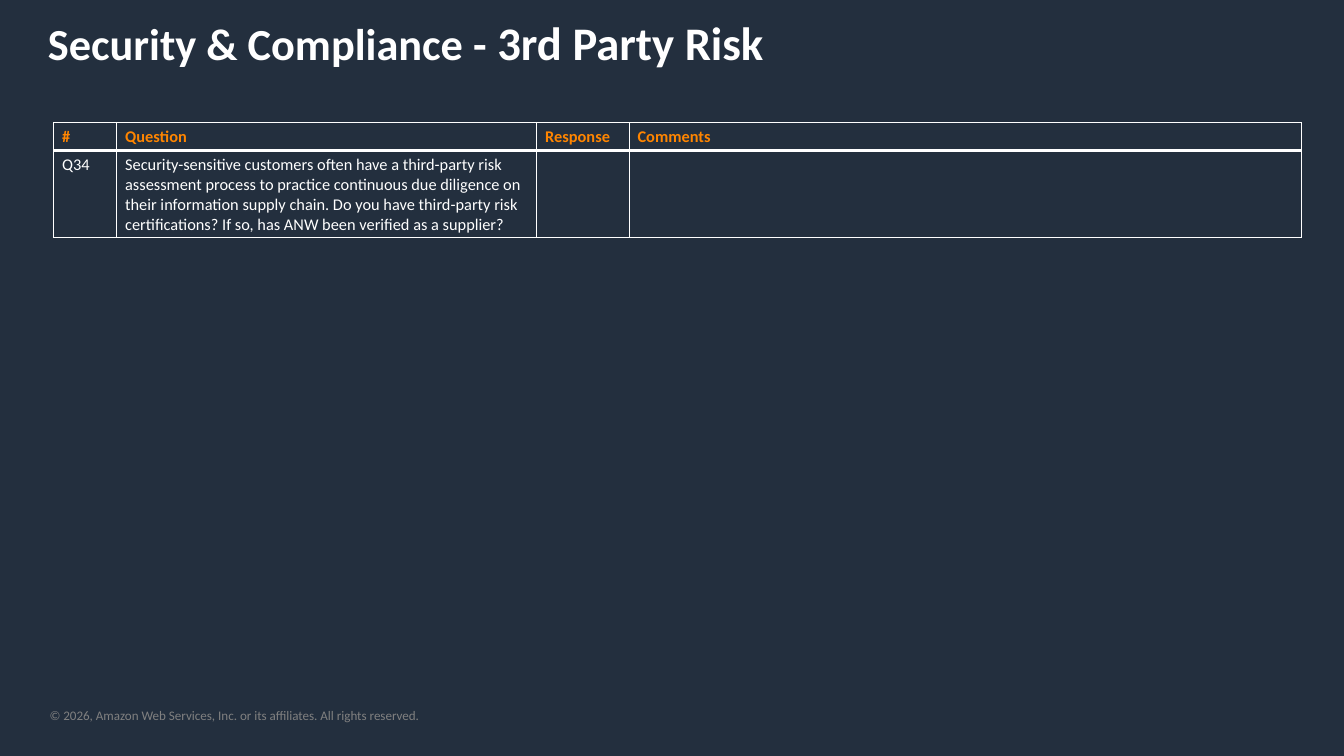
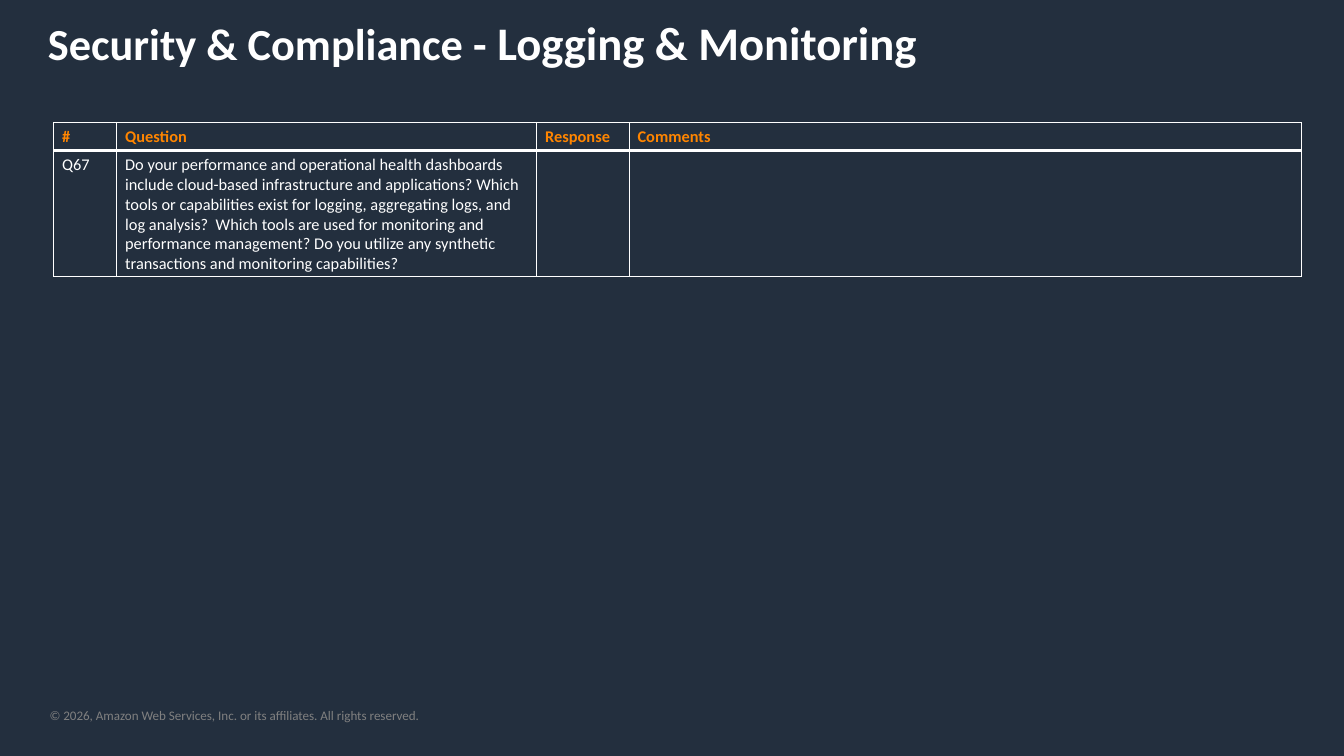
from lxml import etree
from pptx import Presentation
from pptx.dml.color import RGBColor
from pptx.enum.text import MSO_ANCHOR, MSO_AUTO_SIZE, PP_ALIGN
from pptx.oxml.ns import qn
from pptx.util import Pt

TOP = MSO_ANCHOR.TOP
NO_AUTOFIT = MSO_AUTO_SIZE.NONE
LEFT = PP_ALIGN.LEFT

# Content
TITLE_PREFIX = "Security & Compliance - "
HEADERS = ["#", "Question", "Response", "Comments"]
FOOTER = "© 2026, Amazon Web Services, Inc. or its affiliates. All rights reserved."
SLIDES = [
    ("3rd Party Risk", [
        ["Q34", "Security-sensitive customers often have a third-party risk "
                "assessment process to practice continuous due diligence on their "
                "information supply chain. Do you have third-party risk "
                "certifications? If so, has ANW been verified as a supplier?", "", ""],
    ]),
    ("Logging & Monitoring", [
        ["Q67", "Do your performance and operational health dashboards include "
                "cloud-based infrastructure and applications? Which tools or "
                "capabilities exist for logging, aggregating logs, and log analysis?  "
                "Which tools are used for monitoring and performance management? Do "
                "you utilize any synthetic transactions and monitoring capabilities?",
         "", ""],
    ]),
]

# Shared style
FONT = "Calibri"
NAVY = RGBColor(0x23, 0x2F, 0x3E)
WHITE = RGBColor(0xFF, 0xFF, 0xFF)
ORANGE = RGBColor(0xFF, 0x85, 0x00)
GRAY = RGBColor(0x80, 0x80, 0x80)
COLUMN_WIDTHS = [54, 360, 79.2, 576]
ROW_HEIGHT = 20
THIN, THICK = 1, 3


def add_text(text_frame, text, size, color=WHITE, bold=False):
    paragraph = text_frame.paragraphs[0]
    paragraph.alignment = LEFT
    run = paragraph.add_run()
    run.text = text
    run.font.name = FONT
    run.font.size = Pt(size)
    run.font.bold = bold
    run.font.color.rgb = color


def place(shape, left, top, width, height):
    shape.left, shape.top = Pt(left), Pt(top)
    shape.width, shape.height = Pt(width), Pt(height)


def set_borders(cell, top, bottom):
    properties = cell._tc.get_or_add_tcPr()
    widths = {"a:lnL": THIN, "a:lnR": THIN, "a:lnT": top, "a:lnB": bottom}
    for tag, width in widths.items():
        line = etree.SubElement(properties, qn(tag), w=str(Pt(width)))
        fill = etree.SubElement(line, qn("a:solidFill"))
        etree.SubElement(fill, qn("a:srgbClr"), val=str(WHITE))


def add_title(slide, topic):
    title = slide.shapes.title
    place(title, 33.84, 7.92, 1098.72, 55.44)
    frame = title.text_frame
    frame.auto_size = NO_AUTOFIT
    frame.vertical_anchor = TOP
    add_text(frame, TITLE_PREFIX, 38, bold=True)
    add_text(frame, topic, 40, bold=True)


def add_footer(slide):
    box = slide.shapes.add_textbox(Pt(42.48), Pt(606.24), Pt(560), Pt(13.68))
    frame = box.text_frame
    frame.word_wrap = True
    frame.margin_left = frame.margin_right = 0
    frame.margin_top = frame.margin_bottom = 0
    add_text(frame, FOOTER, 11.2, GRAY)


def add_question_table(slide, questions):
    rows = [HEADERS] + questions
    table = slide.shapes.add_table(
        len(rows), len(HEADERS), Pt(46.08), Pt(105.12),
        Pt(sum(COLUMN_WIDTHS)), Pt(ROW_HEIGHT * len(rows))).table
    table.horz_banding = False
    for column, width in zip(table.columns, COLUMN_WIDTHS):
        column.width = Pt(width)
    for row_index, row in enumerate(rows):
        is_header = row_index == 0
        for column_index, text in enumerate(row):
            cell = table.cell(row_index, column_index)
            set_borders(cell, top=THICK if row_index == 1 else THIN,
                        bottom=THICK if is_header else THIN)
            cell.fill.background()
            if text:
                add_text(cell.text_frame, text, 14,
                         ORANGE if is_header else WHITE, bold=is_header)


def main():
    presentation = Presentation()
    presentation.slide_width, presentation.slide_height = Pt(1152), Pt(648)
    layout = presentation.slide_layouts.get_by_name("Title Only")
    layout.background.fill.solid()
    layout.background.fill.fore_color.rgb = NAVY
    for topic, questions in SLIDES:
        slide = presentation.slides.add_slide(layout)
        add_footer(slide)
        add_title(slide, topic)
        add_question_table(slide, questions)
    presentation.save("out.pptx")


if __name__ == "__main__":
    main()
